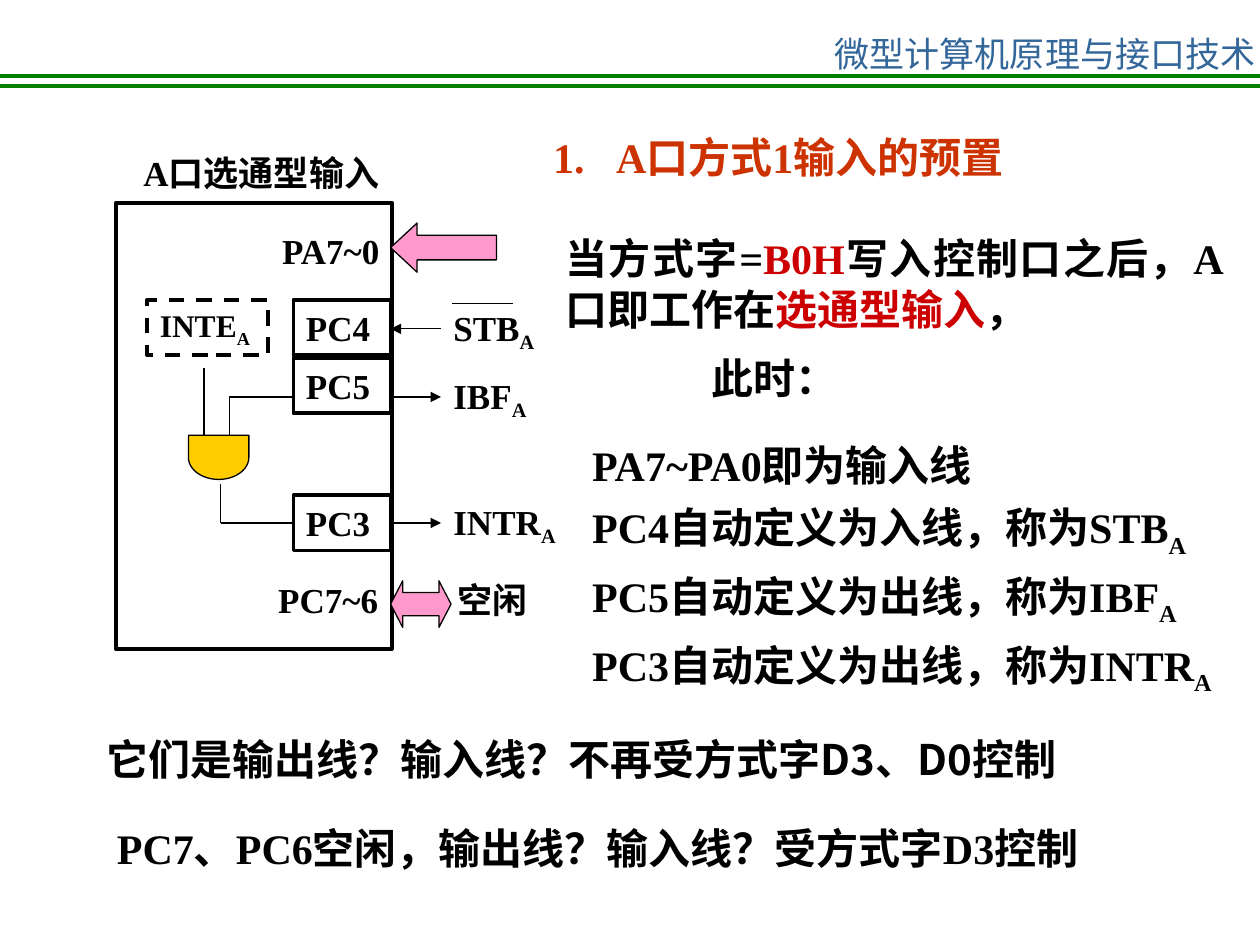
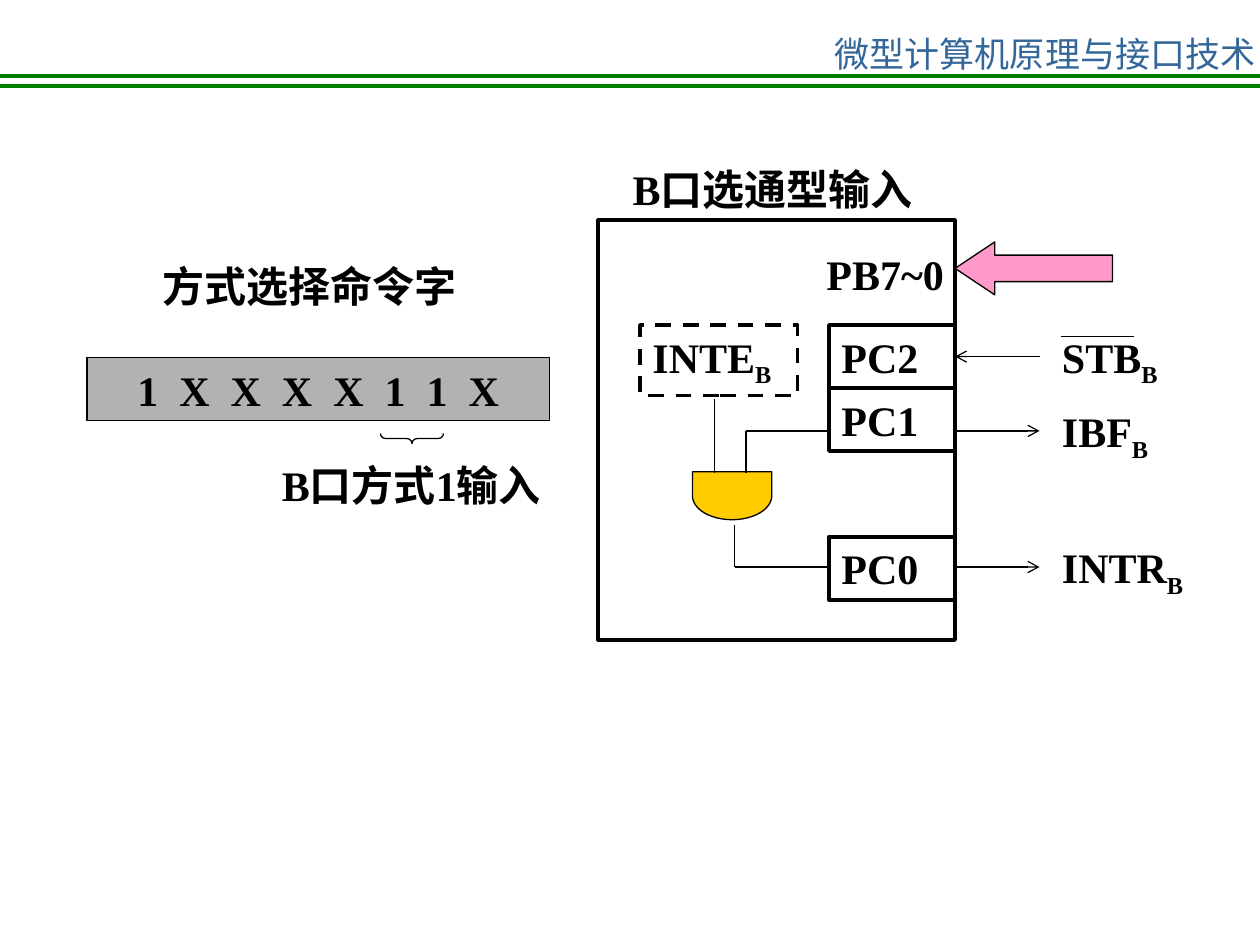
from lxml import etree
from pptx import Presentation
from pptx import util as u
from pptx.dml.color import RGBColor
from pptx.enum import dml, shapes, text
from pptx.oxml.ns import qn

COLORS = {"ink": "000000", "heading": "CC3300", "accent": "CC0000", "header": "336699",
          "rule": "008000", "gate": "FFCC00", "bus": "FF99CC", "word": "B2B2B2"}
SERIF, SANS = "Times New Roman", "Noto Sans CJK SC"
LEFT, CENTER, RIGHT, JUSTIFY = (text.PP_ALIGN.LEFT, text.PP_ALIGN.CENTER,
                                text.PP_ALIGN.RIGHT, text.PP_ALIGN.JUSTIFY)
THIN, THICK = 0.75, 2.25
SUB = {"baseline": -25000}
RED = {"color": "accent"}
NUMBER_GAP = (" ", {"spc": 1200})
BIT_GAP = (" ", {"spc": 600})

HEADER = "微型计算机原理与接口技术"
RULES = [((0.59, 0.68), THIN), ((0.57, 0.6), THIN), ((0, 0.68), THICK), ((0, 0.6), THICK)]

# Slide 1
PRESET_TITLE = ["1.", NUMBER_GAP, "A口方式1输入的预置"]
PIN_ROLES = [["PA7~PA0即为输入线"],
             ["PC4自动定义为入线，称为STB", ("A", SUB)],
             ["PC5自动定义为出线，称为IBF", ("A", SUB)],
             ["PC3自动定义为出线，称为INTR", ("A", SUB)]]
NOTES = [  # place, runs, font
    ((4.39, 1.8, 5.42, 0.9), ["当方式字=", ("B0H", RED), "写入控制口之后，A口即工作在",
                              ("选通型输入", RED), "，"], SERIF),
    ((5.55, 2.75, 3.42, 0.5), ["此时："], SERIF),
    ((0.75, 5.77, 8.49, 0.5), ["它们是输出线？输入线？不再受方式字D3、D0控制"], SANS),
    ((0.83, 6.48, 8.43, 0.5), ["PC7、PC6空闲，输出线？输入线？受方式字D3控制"], SERIF)]

# Slide 2
COMMAND_TITLE, COMMAND_NOTE = "方式选择命令字", "B口方式1输入"
COMMAND_BITS = "1XXXX11X"
PORT_B_TITLE = ["B口选通型输入"]

PORT_A = {
    "port": "A", "size": 20, "inte_size": 18, "arrow": "triangle",
    "frame": (0.92, 1.61, 2.19, 3.54),
    "pins": [("PC4", 2.38), ("PC5", 2.84), ("PC3", 3.93)],
    "pin_left": 2.33, "pin_size": (0.77, 0.44),
    "signals": [("STB", 2.61, 2.38, True), ("IBF", 3.15, 2.92, False),
                ("INTR", 4.15, 3.92, False)],
    "signal_ends": (3.1, 3.5), "name_left": 3.5, "name_size": (1.74, 0.48),
    "overbar": (3.59, 4.07, 2.41),
    "inte": (1.17, 2.38, 0.96, 0.44),
    "gate": (1.56, 3.39, 0.35, 0.48),
    "wires": [[(1.62, 2.92), (1.62, 3.46)],
              [(1.82, 3.46), (1.82, 3.15), (2.33, 3.15)],
              [(1.75, 3.84), (1.75, 4.15), (2.33, 4.15)]],
    "bus": ("PA7~0", (1.82, 1.77, 1.29, 0.44), (3.1, 1.77, 0.84, 0.39), 0.54)}

PORT_B = {
    "port": "B", "size": 24, "inte_size": 24, "arrow": "arrow",
    "frame": (4.75, 1.75, 2.83, 3.33),
    "pins": [("PC2", 2.58), ("PC1", 3.08), ("PC0", 4.26)],
    "pin_left": 6.58, "pin_size": (1, 0.5),
    "signals": [("STB", 2.83, 2.58, True), ("IBF", 3.42, 3.17, False),
                ("INTR", 4.5, 4.25, False)],
    "signal_ends": (7.58, 8.25), "name_left": 8.33, "name_size": (1.39, 0.56),
    "overbar": (8.42, 9, 2.67),
    "inte": (5.08, 2.58, 1.25, 0.56),
    "gate": (5.62, 3.62, 0.38, 0.63),
    "wires": [[(5.67, 3.17), (5.67, 3.75)],
              [(5.92, 3.75), (5.92, 3.42), (6.58, 3.42)],
              [(5.83, 4.17), (5.83, 4.5), (6.58, 4.5)]],
    "bus": ("PB7~0", (5.92, 1.92, 1.67, 0.5), (7.58, 1.92, 1.25, 0.42), 0.75)}


def rgb(name):
    return RGBColor.from_string(COLORS[name])


def inches(values):
    return [u.Inches(value) for value in values]


def add_runs(para, runs, size, font=SERIF, color="ink", bold=True):
    """Add runs, each a plain string or a (string, changes) pair."""
    for item in runs:
        words, changes = (item, {}) if isinstance(item, str) else item
        span = para.add_run()
        span.text = words
        for name, value in {"size": u.Pt(size), "bold": bold, "name": font}.items():
            setattr(span.font, name, value)
        span.font.color.rgb = rgb(changes.get("color", color))
        properties = span._r.get_or_add_rPr()
        etree.SubElement(properties, qn("a:ea"), typeface=SANS)
        for name in ("baseline", "spc"):
            if name in changes:
                properties.set(name, str(changes[name]))


def prepare_frame(box, wrap=True):
    frame = box.text_frame
    settings = {"word_wrap": wrap, "auto_size": text.MSO_AUTO_SIZE.NONE,
                "vertical_anchor": text.MSO_ANCHOR.TOP,
                "margin_left": u.Inches(0.1), "margin_right": u.Inches(0.1),
                "margin_top": u.Inches(0.05), "margin_bottom": u.Inches(0.05)}
    for name, value in settings.items():
        setattr(frame, name, value)
    return frame


def write(box, runs, size=24, align=LEFT, wrap=True, **style):
    para = prepare_frame(box, wrap).paragraphs[0]
    para.alignment = align
    add_runs(para, runs, size, **style)


def add_label(page, place, runs, size=24, align=LEFT, **style):
    write(page.shapes.add_textbox(*inches(place)), runs, size, align, **style)


def place_title(page, place, runs, color="ink"):
    title = page.shapes.title
    title.left, title.top, title.width, title.height = inches(place)
    write(title, runs, color=color)


def add_figure(page, preset, place, fill=None, width=THIN, adjustments=()):
    figure = page.shapes.add_shape(preset, *inches(place))
    figure.shadow.inherit = False
    if fill:
        figure.fill.solid()
        figure.fill.fore_color.rgb = rgb(fill)
    else:
        figure.fill.background()
    figure.line.color.rgb = rgb("ink")
    figure.line.width = u.Pt(width)
    for index, value in enumerate(adjustments):
        figure.adjustments[index] = value
    return figure


def add_line(page, start, end, color="ink", width=THIN, arrow=None):
    line = page.shapes.add_connector(shapes.MSO_CONNECTOR.STRAIGHT, *inches(start + end))
    line.line.color.rgb = rgb(color)
    line.line.width = u.Pt(width)
    if arrow:
        etree.SubElement(line.line._get_or_add_ln(), qn("a:tailEnd"), type=arrow)
    etree.SubElement(line._element.spPr, qn("a:effectLst"))


def add_page(deck, layout):
    page = deck.slides.add_slide(deck.slide_layouts[layout])
    for start, width in RULES:
        add_line(page, start, (10, start[1]), "rule", width)
    add_label(page, (6.89, 0.21, 2.81, 0.24), [HEADER], 20, CENTER,
              wrap=False, font=SANS, color="header", bold=False)
    return page


def draw_port(page, port):
    """Draw the strobed-input block with its pins, gate and signals."""
    rectangle = shapes.MSO_SHAPE.RECTANGLE
    size, subscript = port["size"], (port["port"], SUB)
    add_figure(page, rectangle, port["frame"], width=THICK)
    for name, top in port["pins"]:
        pin = add_figure(page, rectangle, (port["pin_left"], top) + port["pin_size"], width=THICK)
        write(pin, [name], size)

    enable = add_figure(page, rectangle, port["inte"], width=THICK)
    enable.line.dash_style = dml.MSO_LINE.DASH
    write(enable, ["INTE", subscript], port["inte_size"])

    gate = add_figure(page, shapes.MSO_SHAPE.FLOWCHART_DELAY, port["gate"], "gate")
    gate.rotation = 90
    for wire in port["wires"]:
        for start, end in zip(wire, wire[1:]):
            add_line(page, start, end)

    inner, outer = port["signal_ends"]
    for name, y, top, is_input in port["signals"]:
        start, end = (outer, inner) if is_input else (inner, outer)
        add_line(page, (start, y), (end, y), arrow=port["arrow"])
        add_label(page, (port["name_left"], top) + port["name_size"], [name, subscript], size)
    left, right, y = port["overbar"]
    add_line(page, (left, y), (right, y))

    bus_name, label_place, arrow_place, head = port["bus"]
    add_label(page, label_place, [bus_name], size, RIGHT)
    add_figure(page, shapes.MSO_SHAPE.LEFT_ARROW, arrow_place, "bus", adjustments=(0.5, head))


def build_port_a(deck):
    page = add_page(deck, 1)
    place_title(page, (4.29, 0.99, 5.25, 0.5), PRESET_TITLE, "heading")

    body = page.placeholders[1]
    body.left, body.top, body.width, body.height = inches((4.6, 3.36, 5.4, 2.22))
    frame = prepare_frame(body)
    for index, runs in enumerate(PIN_ROLES):
        para = frame.add_paragraph() if index else frame.paragraphs[0]
        properties = para._p.get_or_add_pPr()
        properties.set("marL", "0")
        properties.set("indent", "0")
        etree.SubElement(properties, qn("a:buNone"))
        para.alignment, para.line_spacing, para.space_before = JUSTIFY, 1.2, u.Pt(0)
        add_runs(para, runs, 24)

    for place, runs, font in NOTES:
        add_label(page, place, runs, align=JUSTIFY, font=font)
    add_label(page, (1.04, 1.15, 2.19, 0.44), ["A口选通型输入"], 20)
    draw_port(page, PORT_A)
    add_label(page, (1.69, 4.54, 1.41, 0.44), ["PC7~6"], 20, RIGHT)
    add_label(page, (3.53, 4.54, 0.85, 0.44), ["空闲"], 20)
    add_figure(page, shapes.MSO_SHAPE.LEFT_RIGHT_ARROW, (3.1, 4.61, 0.48, 0.37), "bus",
               adjustments=(0.5, 0.26))


def build_port_b(deck):
    page = add_page(deck, 5)
    place_title(page, (4.92, 1.25, 2.83, 0.5), PORT_B_TITLE)
    add_label(page, (1.19, 2.02, 2.83, 0.5), [COMMAND_TITLE])

    word = add_figure(page, shapes.MSO_SHAPE.RECTANGLE, (0.69, 2.84, 3.67, 0.5), "word")
    spaced_bits = [run for bit in COMMAND_BITS for run in (bit, BIT_GAP)][:-1]
    write(word, spaced_bits, align=CENTER)

    brace = add_figure(page, shapes.MSO_SHAPE.LEFT_BRACE, (3.23, 3.23, 0.08, 0.5),
                       adjustments=(0.5, 0.5))
    brace.rotation = 270
    add_label(page, (1.85, 3.6, 2.83, 0.5), [COMMAND_NOTE], align=CENTER)
    draw_port(page, PORT_B)


def main():
    deck = Presentation()
    deck.slide_width, deck.slide_height = inches((10, 7.5))
    build_port_a(deck)
    build_port_b(deck)
    deck.save("out.pptx")


if __name__ == "__main__":
    main()
